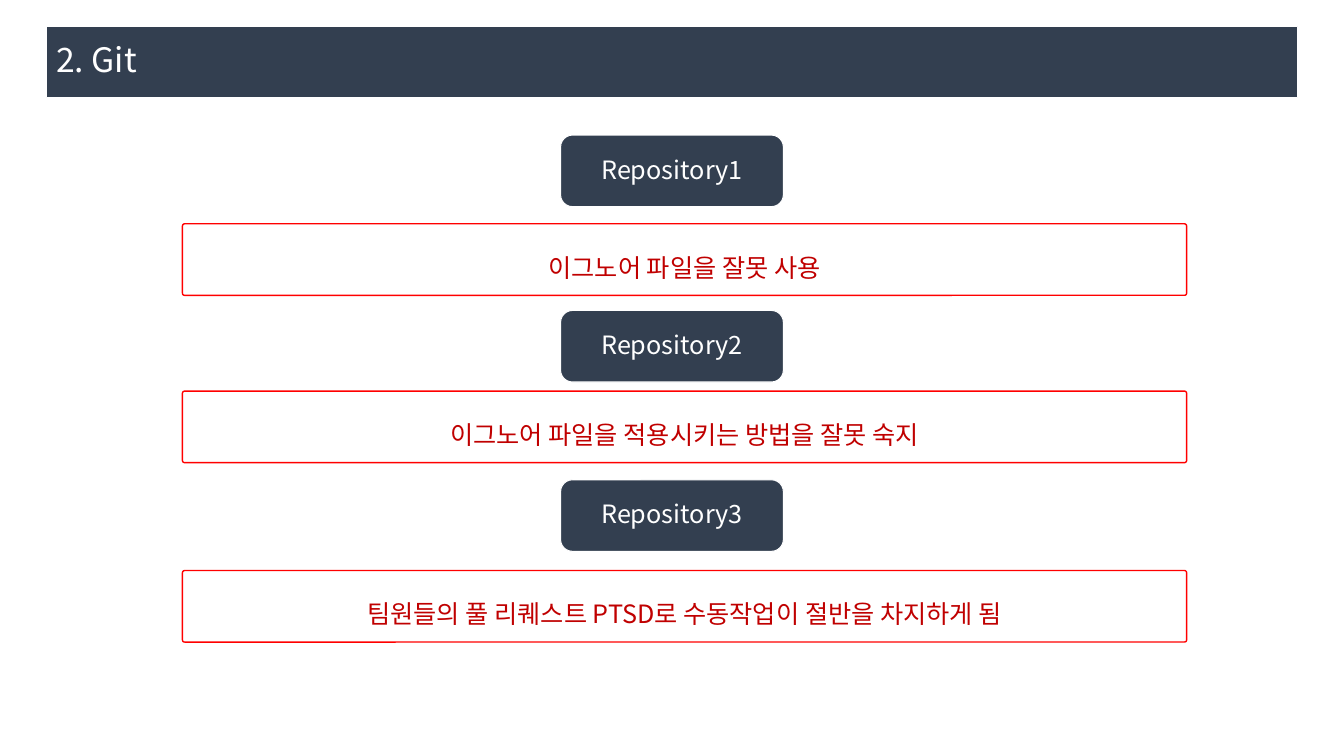
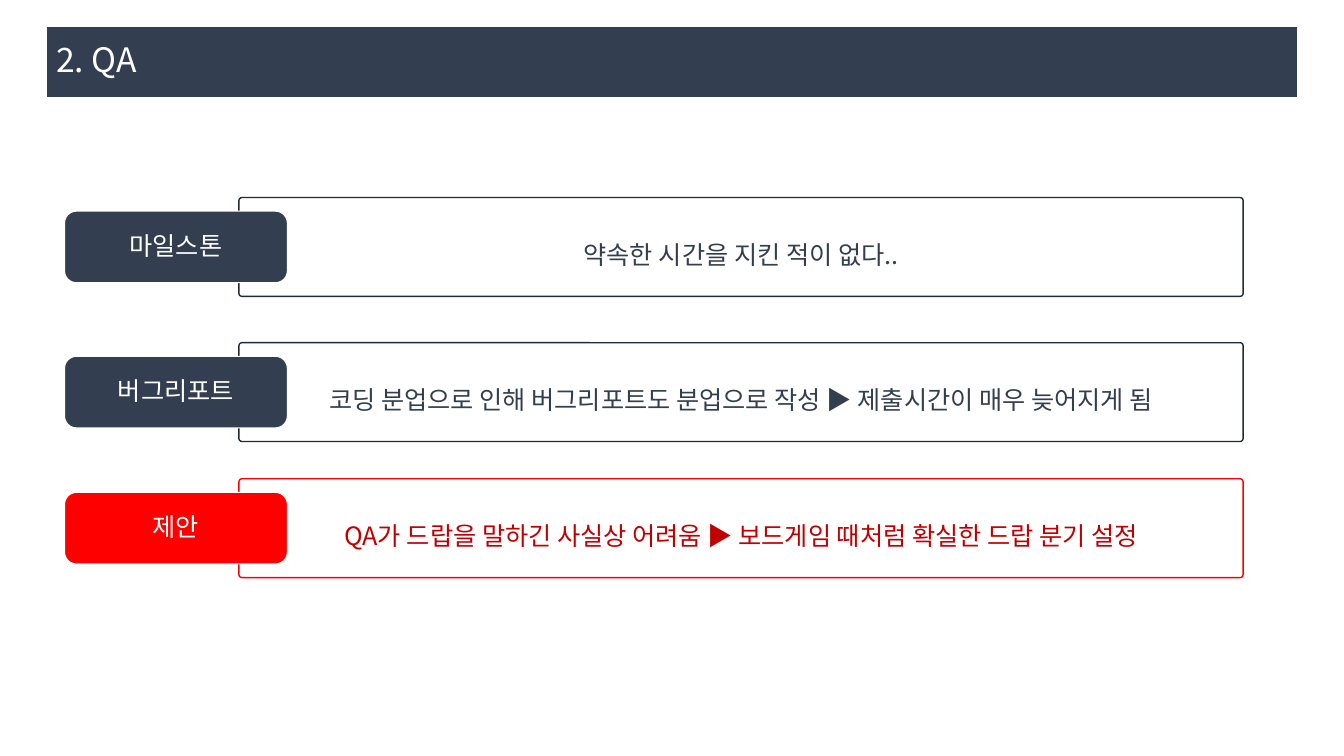
from dataclasses import dataclass

from lxml.etree import SubElement
from pptx import Presentation
from pptx.dml.color import RGBColor
from pptx.enum.shapes import MSO_SHAPE
from pptx.enum.text import MSO_ANCHOR, PP_ALIGN
from pptx.oxml.ns import qn
from pptx.util import Inches, Pt


@dataclass(frozen=True)
class Theme:
    font: str = "Noto Sans CJK KR"
    navy: str = "333F50"
    dark: str = "222A35"
    red: str = "FF0000"
    deep_red: str = "C00000"
    white: str = "FFFFFF"
    title_size: int = 24
    body_size: int = 18


THEME = Theme()


def write_text(shape, text, *, size=THEME.body_size, color=THEME.white,
               align=PP_ALIGN.CENTER, spacing=0.9):
    """Write one formatted paragraph into a shape."""
    frame = shape.text_frame
    frame.word_wrap = True
    frame.vertical_anchor = MSO_ANCHOR.MIDDLE
    paragraph = frame.paragraphs[0]
    paragraph.alignment = align
    paragraph.line_spacing = spacing
    run = paragraph.add_run()
    run.text = text
    run.font.name = THEME.font
    run.font.size = Pt(size)
    run.font.color.rgb = RGBColor.from_string(color)
    # East Asian text needs its own typeface entry
    SubElement(run._r.get_or_add_rPr(), qn("a:ea")).set("typeface", THEME.font)


class Deck:
    BAR_HEIGHT = 0.71
    LABEL_WIDTH = 2.21
    BOX_WIDTH = 9.96

    def __init__(self):
        self.presentation = Presentation()
        self.presentation.slide_width = Inches(13.33)
        self.presentation.slide_height = Inches(7.5)
        self.slide = None

    def add_block(self, kind, left, top, width, height, *, line,
                  fill=None, line_width=0.75):
        shape = self.slide.shapes.add_shape(
            kind, Inches(left), Inches(top), Inches(width), Inches(height))
        shape.shadow.inherit = False
        if fill:
            shape.fill.solid()
            shape.fill.fore_color.rgb = RGBColor.from_string(fill)
        else:
            shape.fill.background()
        shape.line.color.rgb = RGBColor.from_string(line)
        shape.line.width = Pt(line_width)
        return shape

    def add_slide(self, title):
        """Start a slide with its title band."""
        self.slide = self.presentation.slides.add_slide(
            self.presentation.slide_layouts[6])
        band = self.add_block(MSO_SHAPE.RECTANGLE, 0.46, 0.26, 12.41,
                              self.BAR_HEIGHT, fill=THEME.navy, line=THEME.white)
        write_text(band, title, size=THEME.title_size, align=PP_ALIGN.LEFT)

    def add_label(self, text, left, top, fill=THEME.navy):
        label = self.add_block(MSO_SHAPE.ROUNDED_RECTANGLE, left, top,
                               self.LABEL_WIDTH, self.BAR_HEIGHT,
                               fill=fill, line=THEME.white)
        write_text(label, text)

    def add_box(self, text, left, top, height, line=THEME.red,
                color=THEME.deep_red):
        box = self.add_block(MSO_SHAPE.ROUNDED_RECTANGLE, left, top,
                             self.BOX_WIDTH, height, line=line, line_width=1)
        box.adjustments[0] = 0.03
        write_text(box, text, color=color, spacing=1.5)


def build_git_slide(deck):
    deck.add_slide("2. Git")
    # Label top, box top, problem
    problems = [
        (1.34, 2.22, "이그노어 파일을 잘못 사용"),
        (3.08, 3.88, "이그노어 파일을 적용시키는 방법을 잘못 숙지"),
        (4.76, 5.66, "팀원들의 풀 리퀘스트 PTSD로 수동작업이 절반을 차지하게 됨"),
    ]
    for number, (label_top, box_top, problem) in enumerate(problems, start=1):
        deck.add_label(f"Repository{number}", 5.56, label_top)
        deck.add_box(problem, 1.81, box_top, deck.BAR_HEIGHT)


def build_qa_slide(deck):
    deck.add_slide("2. QA")
    # Label fill, box outline, box text
    normal = (THEME.navy, THEME.dark, THEME.navy)
    alert = (THEME.red, THEME.red, THEME.deep_red)
    box_height = 0.98
    label_offset = (box_height - deck.BAR_HEIGHT) / 2
    rows = [
        (1.96, "마일스톤", "약속한 시간을 지킨 적이 없다..", normal),
        (3.4, "버그리포트",
         "코딩 분업으로 인해 버그리포트도 분업으로 작성 ▶ 제출시간이 매우 늦어지게 됨",
         normal),
        (4.75, "제안",
         "QA가 드랍을 말하긴 사실상 어려움 ▶ 보드게임 때처럼 확실한 드랍 분기 설정",
         alert),
    ]
    for top, label, text, (fill, line, color) in rows:
        deck.add_box(text, 2.37, top, box_height, line, color)
        deck.add_label(label, 0.64, top + label_offset, fill)


def main():
    deck = Deck()
    build_git_slide(deck)
    build_qa_slide(deck)
    deck.presentation.save("out.pptx")


if __name__ == "__main__":
    main()
